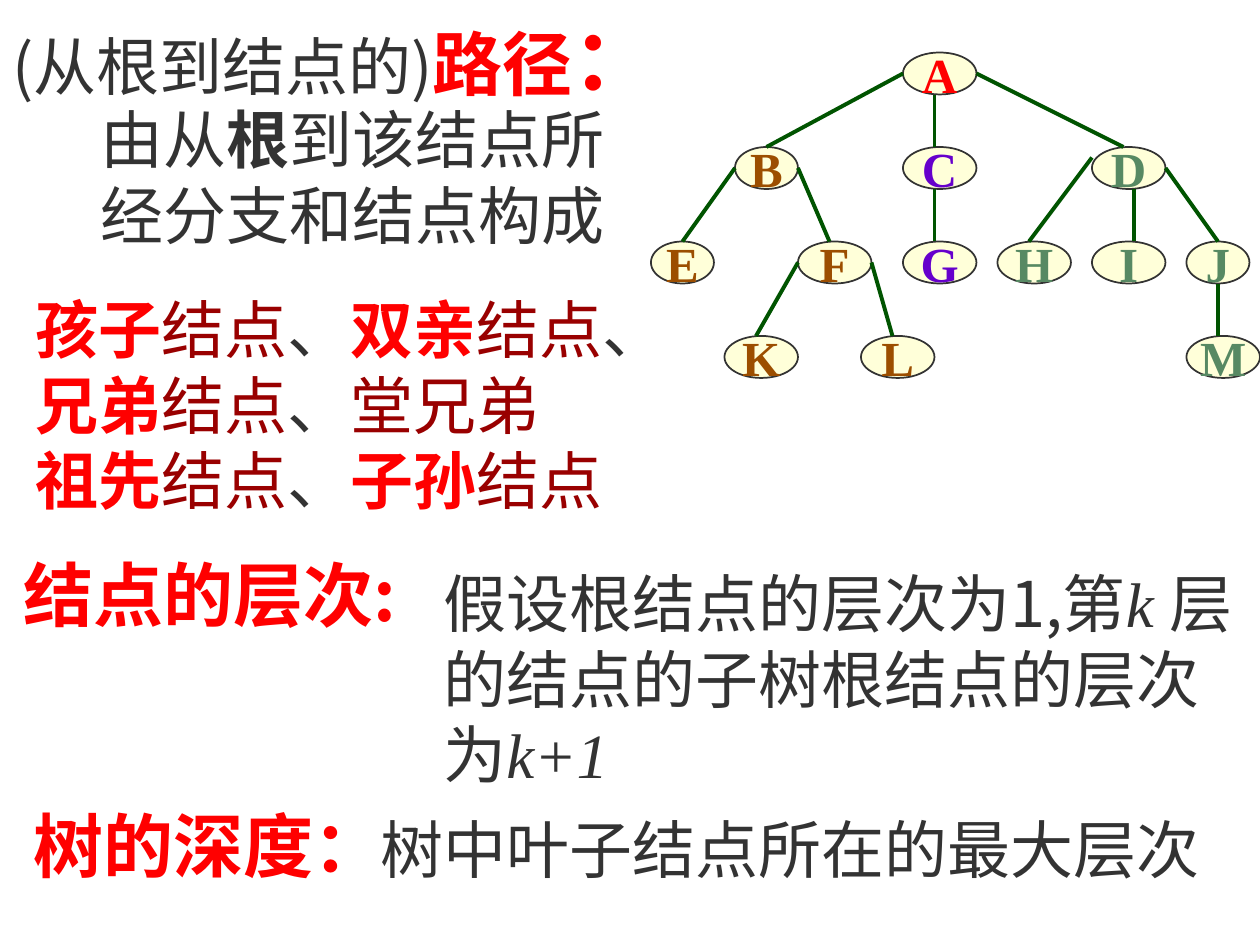
"""Build a slide on tree terms: path, kinship, level and depth."""
import typing

import lxml.etree
import pptx
import pptx.dml.color
import pptx.enum.dml
import pptx.enum.shapes
import pptx.enum.text
import pptx.oxml.ns
import pptx.util

RGB = pptx.dml.color.RGBColor
INK = RGB(0x33, 0x33, 0x33)
RED = RGB(0xFF, 0x00, 0x00)
WINE = RGB(0x99, 0x00, 0x00)
CREAM = RGB(0xFF, 0xFF, 0xD9)
GREEN = RGB(0x00, 0x54, 0x00)
BROWN = RGB(0x9C, 0x4E, 0x00)
PURPLE = RGB(0x66, 0x00, 0xCC)
SAGE = RGB(0x57, 0x89, 0x63)

HAN = "Noto Sans CJK SC"
ROMAN = "Times New Roman"
WIDE, HIGH = pptx.util.Inches(10), pptx.util.Inches(7.5)
COLS, ROWS = 120, 90
NODE_ROWS = 4
TOP_ROW, ROW_STEP = 5, 9


class Run(typing.NamedTuple):
    text: str
    color: RGB = INK
    size: int = 36
    bold: bool = False
    italic: bool = False
    face: str = HAN


class Box(typing.NamedTuple):
    left: float
    top: float
    width: float
    height: float
    wrap: bool
    lines: list[list[Run]]


class Node(typing.NamedTuple):
    name: str
    col: int
    level: int
    color: RGB
    cols: int = 7


class Edge(typing.NamedTuple):
    col: int
    row: int
    end_col: int
    end_row: int


def key(text: str, size: int = 36, face: str = HAN) -> Run:
    """Return a bold red key term."""
    return Run(text, RED, size, bold=True, face=face)


KIN = Run("结点", WINE)
COMMA = Run("、")

BOXES = [
    Box(0, 0, 0.59, 0.12, True,
        [[Run("(从根到结点的)"), key("路径", 40), key("：", 48)]]),
    Box(0.018, 0.301, 0.52, 0.253, False, [
        [key("孩子"), KIN, COMMA, key("双亲"), KIN, COMMA],
        [key("兄弟"), KIN, COMMA, Run("堂兄弟", WINE)],
        [key("祖先"), KIN, COMMA, key("子孙"), KIN],
    ]),
    Box(0.009, 0.577, 0.344, 0.103, False, [[key("结点的层次:", 40)]]),
    Box(0.017, 0.843, 0.355, 0.103, True, [[key("树的深度：", 40, ROMAN)]]),
    Box(0.07, 0.1, 0.455, 0.173, True,
        [[Run("由从"), Run("根", bold=True), Run("到该结点所经分支和结点构成")]]),
    Box(0.342, 0.591, 0.658, 0.253, True, [[
        Run("假设根结点的层次为1,第"),
        Run("k ", italic=True, face=ROMAN),
        Run("层的结点的子树根结点的层次为", face=ROMAN),
        Run("k+1", italic=True, face=ROMAN),
    ]]),
    Box(0.292, 0.851, 0.67, 0.093, False,
        [[Run("树中叶子结点所在的最大层次", face=ROMAN)]]),
]

NODES = [
    Node("A", 86, 0, RED),
    Node("B", 70, 1, BROWN, 6),
    Node("C", 86, 1, PURPLE),
    Node("D", 104, 1, SAGE),
    Node("E", 62, 2, BROWN, 6),
    Node("F", 76, 2, BROWN),
    Node("G", 86, 2, PURPLE),
    Node("H", 95, 2, SAGE),
    Node("I", 104, 2, SAGE),
    Node("J", 113, 2, SAGE, 6),
    Node("M", 113, 3, SAGE),
    Node("K", 69, 3, BROWN),
    Node("L", 82, 3, BROWN),
]

EDGES = [
    Edge(86, 7, 73, 14), Edge(89, 9, 89, 14), Edge(93, 7, 107, 14),
    Edge(70, 16, 65, 23), Edge(76, 16, 79, 23), Edge(76, 25, 72, 32),
    Edge(83, 25, 85, 32), Edge(89, 18, 89, 23), Edge(104, 15, 98, 23),
    Edge(108, 18, 108, 23), Edge(111, 16, 116, 23), Edge(116, 27, 116, 32),
]


def across(cols: float) -> int:
    """Turn grid columns into a length."""
    return round(WIDE * cols / COLS)


def down(rows: float) -> int:
    """Turn grid rows into a length."""
    return round(HIGH * rows / ROWS)


def add_run(para: typing.Any, run: Run) -> None:
    """Add one formatted run to a paragraph."""
    part = para.add_run()
    part.text = run.text
    form = {"size": pptx.util.Pt(run.size), "bold": run.bold,
            "italic": run.italic, "name": run.face}
    for name, value in form.items():
        setattr(part.font, name, value)
    part.font.color.rgb = run.color
    east = lxml.etree.SubElement(part.font._element, pptx.oxml.ns.qn("a:ea"))
    east.set("typeface", HAN)


def add_box(slide: typing.Any, box: Box) -> None:
    """Add a text box placed by shares of the slide."""
    shape = slide.shapes.add_textbox(
        round(WIDE * box.left), round(HIGH * box.top),
        round(WIDE * box.width), round(HIGH * box.height))
    frame = shape.text_frame
    frame.word_wrap = box.wrap
    for i, line in enumerate(box.lines):
        para = frame.add_paragraph() if i else frame.paragraphs[0]
        for run in line:
            add_run(para, run)


def add_node(slide: typing.Any, node: Node) -> None:
    """Add one labelled tree node."""
    shape = slide.shapes.add_shape(
        pptx.enum.shapes.MSO_SHAPE.OVAL, across(node.col),
        down(TOP_ROW + ROW_STEP * node.level),
        across(node.cols), down(NODE_ROWS))
    shape.shadow.inherit = False
    shape.fill.solid()
    shape.fill.fore_color.rgb = CREAM
    shape.line.color.rgb = INK
    shape.line.width = pptx.util.Pt(1)
    frame = shape.text_frame
    form = {"word_wrap": False,
            "vertical_anchor": pptx.enum.text.MSO_ANCHOR.MIDDLE}
    for name, value in form.items():
        setattr(frame, name, value)
    para = frame.paragraphs[0]
    para.alignment = pptx.enum.text.PP_ALIGN.CENTER
    add_run(para, Run(node.name, node.color, 28, bold=True, face=ROMAN))


def add_edge(slide: typing.Any, edge: Edge) -> None:
    """Add one branch of the tree."""
    line = slide.shapes.add_connector(
        pptx.enum.shapes.MSO_CONNECTOR.STRAIGHT,
        across(edge.col), down(edge.row),
        across(edge.end_col), down(edge.end_row))
    line.line.color.rgb = GREEN
    line.line.width = pptx.util.Pt(2.25)
    lxml.etree.SubElement(line._element.spPr, pptx.oxml.ns.qn("a:effectLst"))


def main() -> None:
    """Build and save the slide."""
    deck = pptx.Presentation()
    deck.slide_width, deck.slide_height = WIDE, HIGH
    slide = deck.slides.add_slide(deck.slide_layouts[6])
    for draw, items in ((add_box, BOXES), (add_node, NODES), (add_edge, EDGES)):
        for item in items:
            draw(slide, item)
    deck.save("out.pptx")


if __name__ == "__main__":
    main()
